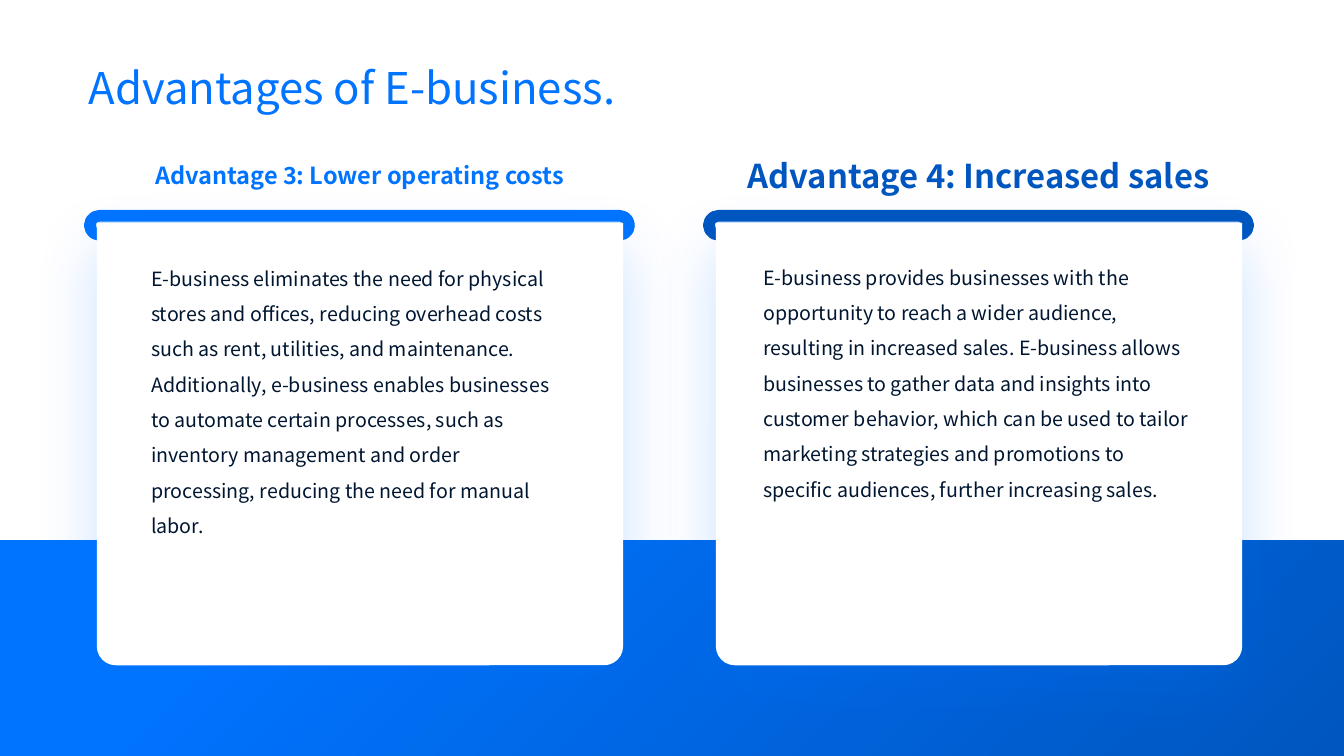
import pptx
import pptx.dml.color
import pptx.enum.shapes
import pptx.enum.text
import pptx.oxml
import pptx.oxml.ns
import pptx.util

Inches = pptx.util.Inches
Pt = pptx.util.Pt
RGBColor = pptx.dml.color.RGBColor
MSO_SHAPE = pptx.enum.shapes.MSO_SHAPE
PP_ALIGN = pptx.enum.text.PP_ALIGN
MSO_ANCHOR = pptx.enum.text.MSO_ANCHOR

BLUE = RGBColor(0x00, 0x73, 0xFF)
DARK_BLUE = RGBColor(0x00, 0x56, 0xBF)
PALE_BLUE = RGBColor(0xCC, 0xE3, 0xFF)
NAVY = RGBColor(0x00, 0x16, 0x30)
WHITE = RGBColor(0xFF, 0xFF, 0xFF)
FONT = "Noto Sans CJK SC"

CARD_SHADOW = (
    f'<a:outerShdw {pptx.oxml.ns.nsdecls("a")} blurRad="{Pt(45)}" '
    f'dist="{Pt(19)}" dir="5400000" algn="t" rotWithShape="0">'
    f'<a:srgbClr val="{BLUE}"><a:alpha val="20000"/></a:srgbClr></a:outerShdw>'
)


def add_plain_shape(kind, left, top, width, height):
    """Add a preset shape without shadow or outline."""
    shape = slide.shapes.add_shape(
        kind, Inches(left), Inches(top), Inches(width), Inches(height))
    shape.shadow.inherit = False
    shape.line.fill.background()
    return shape


def fill_placeholder(box, position, text, size, color, *, bold=False,
                     align=PP_ALIGN.LEFT, anchor=MSO_ANCHOR.MIDDLE, spacing=1.0):
    """Place a placeholder in front of the shapes and give it one unbulleted paragraph."""
    box.left, box.top, box.width, box.height = map(Inches, position)
    box.element.getparent().append(box.element)
    frame = box.text_frame
    frame.text = text
    frame.word_wrap = True
    frame.auto_size = pptx.enum.text.MSO_AUTO_SIZE.NONE
    frame.vertical_anchor = anchor
    para = frame.paragraphs[0]
    para.alignment = align
    para.line_spacing = spacing
    para.space_before = Pt(0)
    properties = para._p.get_or_add_pPr()
    properties.set("marL", "0")
    properties.set("indent", "0")
    properties.append(pptx.oxml.parse_xml(
        f'<a:buNone {pptx.oxml.ns.nsdecls("a")}/>'))
    para.font.name = FONT
    para.font.size = Pt(size)
    para.font.bold = bold
    para.font.color.rgb = color


deck = pptx.Presentation()
deck.slide_width = Inches(13.33)
deck.slide_height = Inches(7.5)
slide = deck.slides.add_slide(deck.slide_layouts.get_by_name("Comparison"))
title, *column_boxes = slide.placeholders

band = add_plain_shape(MSO_SHAPE.RECTANGLE, 0, 5.36, 13.33, 2.14)
band.fill.gradient()
band.fill.gradient_angle = 315
for stop, position, color in zip(
        band.fill.gradient_stops, (0.19, 1), (BLUE, DARK_BLUE)):
    stop.position = position
    stop.color.rgb = color

fill_placeholder(title, (0.78, 0.52, 10.34, 0.64), "Advantages of E-business.",
                 31.2, BLUE, spacing=1.1)

# Left edge of the bar, accent, heading, heading size, heading left, body text, body position
columns = [
    (0.89, BLUE, "Advantage 3: Lower operating costs", 16.8, 1.09,
     "E-business eliminates the need for physical stores and offices, reducing "
     "overhead costs such as rent, utilities, and maintenance. Additionally, "
     "e-business enables businesses to automate certain processes, such as "
     "inventory management and order processing, reducing the need for manual labor.",
     (1.4, 2.48, 4.33, 3.77)),
    (7.03, DARK_BLUE, "Advantage 4: Increased sales", 23.4, 7.23,
     "E-business provides businesses with the opportunity to reach a wider "
     "audience, resulting in increased sales. E-business allows businesses to "
     "gather data and insights into customer behavior, which can be used to tailor "
     "marketing strategies and promotions to specific audiences, further "
     "increasing sales.",
     (7.47, 2.47, 4.47, 3.77)),
]

for index, (left, accent, heading, heading_size, heading_left,
            body, body_position) in enumerate(columns):
    bar = add_plain_shape(MSO_SHAPE.ROUNDED_RECTANGLE, left, 2.14, 5.35, 0.19)
    bar.adjustments[0] = 0.5
    bar.fill.solid()
    bar.fill.fore_color.rgb = PALE_BLUE
    bar.line.color.rgb = accent
    bar.line.width = Pt(8.25)

    card = add_plain_shape(
        MSO_SHAPE.ROUND_2_SAME_RECTANGLE, left + 0.07, 2.21, 5.22, 4.39)
    card.adjustments[0] = 0
    card.adjustments[1] = 0.043
    card.fill.solid()
    card.fill.fore_color.rgb = WHITE
    effects = card.element.spPr.find(pptx.oxml.ns.qn("a:effectLst"))
    effects.append(pptx.oxml.parse_xml(CARD_SHADOW))

    heading_box, body_box = column_boxes[2 * index:2 * index + 2]
    fill_placeholder(heading_box, (heading_left, 1.49, 4.95, 0.5), heading,
                     heading_size, accent, bold=True, align=PP_ALIGN.CENTER)
    fill_placeholder(body_box, body_position, body, 14, NAVY,
                     anchor=MSO_ANCHOR.TOP, spacing=1.5)

deck.save("out.pptx")
